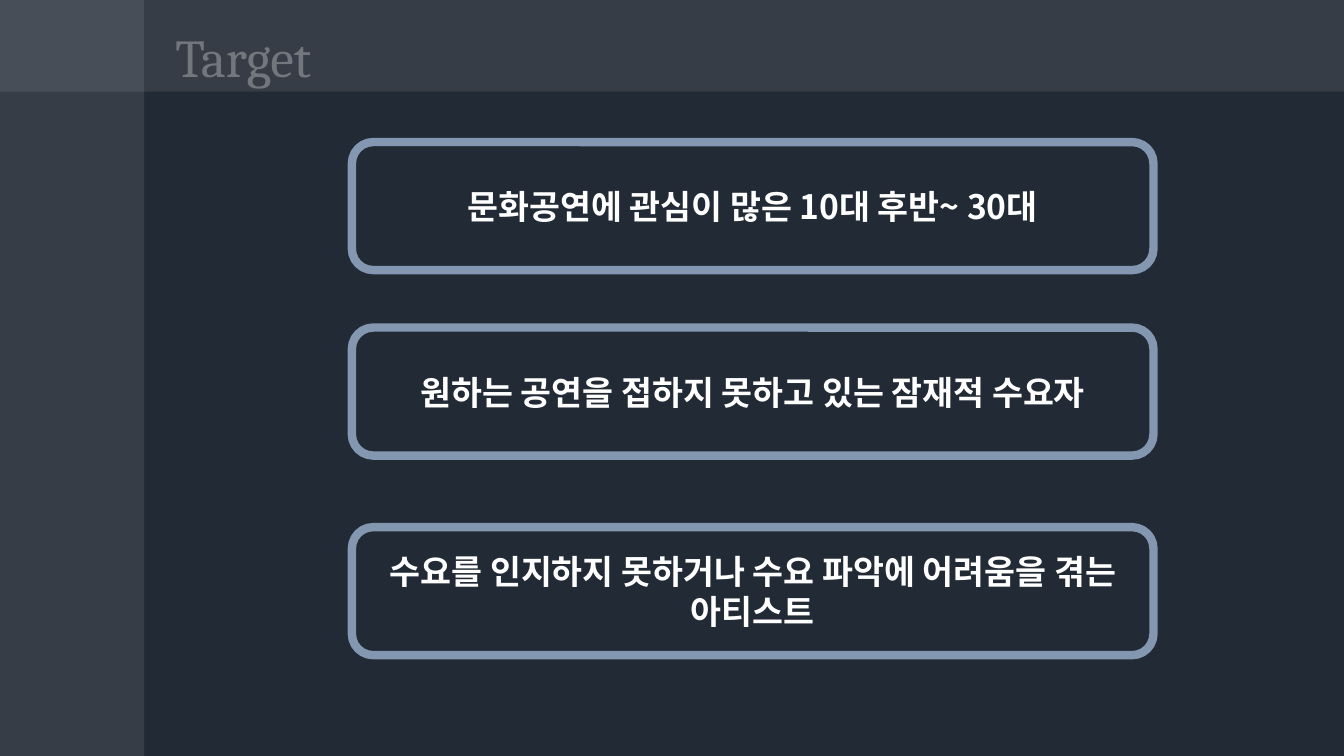
"""Build the Target slide: three outlined audience cards on a dark ground."""
from lxml import etree
from pptx import Presentation
from pptx.dml.color import RGBColor
from pptx.enum import shapes, text
from pptx.oxml.ns import qn
from pptx.util import Inches, Pt

TITLE = "Target"
CARDS = [
    (1.41, "문화공연에 관심이 많은 10대 후반~ 30대"),
    (3.25, "원하는 공연을 접하지 못하고 있는 잠재적 수요자"),
    (5.23, "수요를 인지하지 못하거나 수요 파악에 어려움을 겪는 아티스트"),
]
WIDE, HIGH = 13.33, 7.5
BARS = [(1.43, HIGH), (WIDE, 0.91)]
COLORS = {"ground": "222A35", "bar": "E7E6E6", "edge": "8497B0", "text": "FFFFFF"}
KINDS = shapes.MSO_SHAPE


def tint(fill, name, alpha=100):
    fill.solid()
    fill.fore_color.rgb = RGBColor.from_string(COLORS[name])
    if alpha < 100:
        color = fill._xPr.find(qn("a:solidFill"))[0]
        etree.SubElement(color, qn("a:alpha"), val=str(alpha * 1000))


def write(shape, words, face, size, bold=False, alpha=100):
    frame = shape.text_frame
    frame.text = words
    frame.word_wrap = True
    font = frame.paragraphs[0].runs[0].font
    font.name, font.size, font.bold = face, Pt(size), bold
    tint(font.fill, "text", alpha)
    etree.SubElement(font._element, qn("a:ea"), typeface=face)
    return frame


def draw(kind, *box):
    shape = slide.shapes.add_shape(kind, *map(Inches, box))
    shape.shadow.inherit = False
    return shape


deck = Presentation()
deck.slide_width, deck.slide_height = Inches(WIDE), Inches(HIGH)
slide = deck.slides.add_slide(deck.slide_layouts[6])
tint(slide.background.fill, "ground")

for size in BARS:
    bar = draw(KINDS.RECTANGLE, 0, 0, *size)
    tint(bar.fill, "bar", 10)
    bar.line.fill.background()

title = slide.shapes.add_textbox(*map(Inches, (1.64, 0.18, 8.38, 0.74)))
frame = write(title, TITLE, "Cambria", 38, alpha=30)
frame.vertical_anchor = text.MSO_ANCHOR.BOTTOM

for top, words in CARDS:
    card = draw(KINDS.ROUNDED_RECTANGLE, 3.49, top, 7.95, 1.27)
    card.fill.background()
    tint(card.line.fill, "edge")
    card.line.width = Pt(6)
    frame = write(card, words, "Noto Sans CJK KR", 24, bold=True)
    frame.vertical_anchor = text.MSO_ANCHOR.MIDDLE
    frame.paragraphs[0].alignment = text.PP_ALIGN.CENTER

deck.save("out.pptx")
